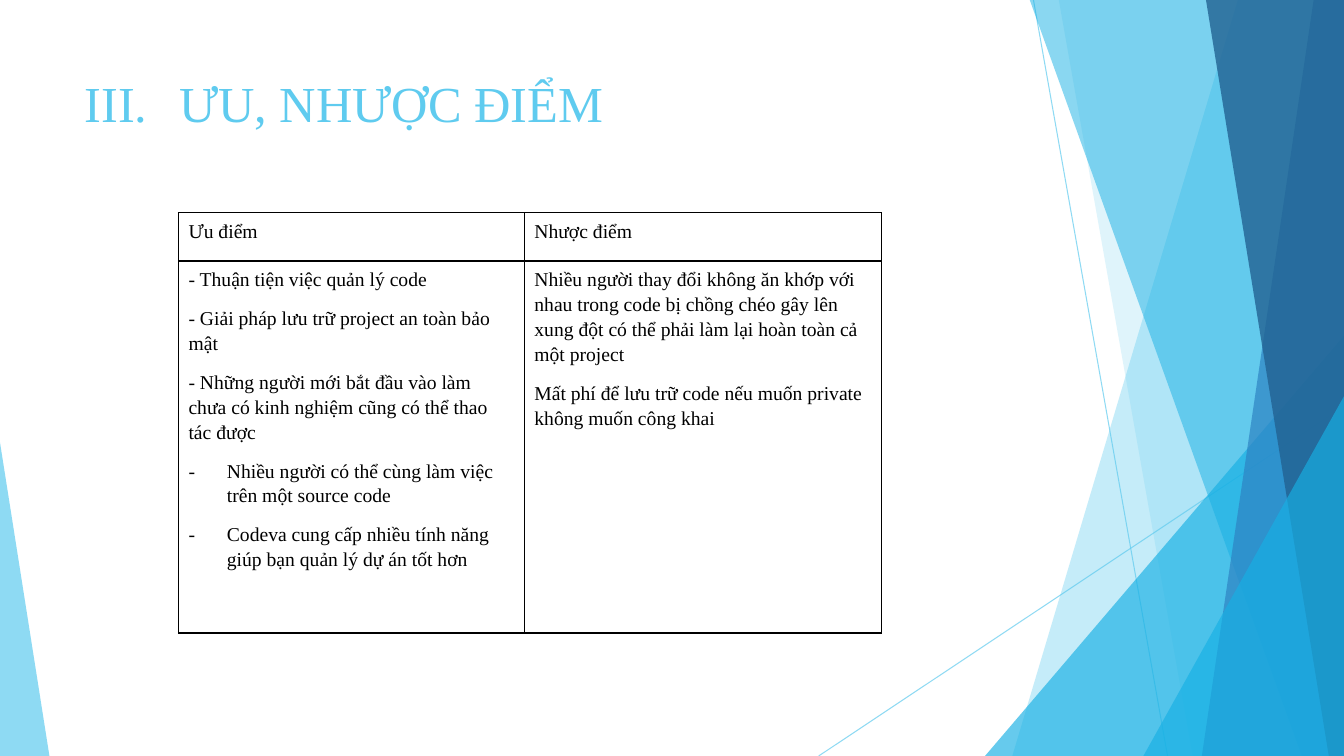
import pptx
import pptx.util
import pptx.dml.color
import pptx.enum.shapes
import pptx.oxml.ns
from lxml import etree

Inches = pptx.util.Inches
Pt = pptx.util.Pt
qn = pptx.oxml.ns.qn
WIDTH, HEIGHT, TOP = 13.33, 7.5, -0.01
FONT = "Times New Roman"
COLORS = {
    "sky": "5FCBEF",
    "cyan": "17B0E4",
    "blue": "2E83C3",
    "navy": "226292",
    "black": "000000",
}

RAYS = [
    ((10.25, 0), (11.58, HEIGHT)),
    ((WIDTH, 4.03), (8.12, HEIGHT)),
]
BACK_BANDS = [(12.28, 10.04, "sky", 36), (10.5, 11.83, "sky", 20)]
FRONT_BANDS = [
    (10.21, 12.91, "cyan", 50),
    (13.03, 11.92, "blue", 70),
    (11.96, 13.18, "navy", 80),
]

HEADINGS = ["Ưu điểm", "Nhược điểm"]
ADVANTAGES = [
    "- Thuận tiện việc quản lý code",
    "- Giải pháp lưu trữ project an toàn bảo mật",
    "- Những người mới bắt đầu vào làm chưa có kinh nghiệm cũng có thể thao tác được",
]
DASHED_ADVANTAGES = [
    "Nhiều người có thể cùng làm việc trên một source code",
    "Codeva cung cấp nhiều tính năng giúp bạn quản lý dự án tốt hơn",
]
DRAWBACKS = [
    "Nhiều người thay đổi không ăn khớp với nhau trong code bị chồng chéo gây lên "
    "xung đột có thể phải làm lại hoàn toàn cả một project",
    "Mất phí để lưu trữ code nếu muốn private không muốn công khai",
]


def rgb(color):
    return pptx.dml.color.RGBColor.from_string(COLORS[color])


def paint(fill, color, opacity):
    fill.solid()
    fill.fore_color.rgb = rgb(color)
    tint = fill._xPr.find(qn("a:solidFill"))[0]
    etree.SubElement(tint, qn("a:alpha"), val=str(opacity * 1000))


def finish(shape, color, opacity):
    shape.shadow.inherit = False
    shape.line.fill.background()
    paint(shape.fill, color, opacity)


def add_ray(slide, start, end):
    ray = slide.shapes.add_connector(
        pptx.enum.shapes.MSO_CONNECTOR.STRAIGHT,
        *(Inches(value) for value in start + end),
    )
    ray.line.width = Pt(0.75)
    paint(ray.line.fill, "sky", 70)
    etree.SubElement(ray._element.spPr, qn("a:effectLst"))


def add_band(slide, top_x, bottom_x, color, opacity):
    corners = [(WIDTH, TOP), (WIDTH, HEIGHT), (bottom_x, HEIGHT)]
    outline = slide.shapes.build_freeform(Inches(top_x), Inches(TOP))
    outline.add_line_segments([(Inches(x), Inches(y)) for x, y in corners])
    finish(outline.convert_to_shape(), color, opacity)


def add_wedge(slide, left, top, width, apex, color, opacity):
    wedge = slide.shapes.add_shape(
        pptx.enum.shapes.MSO_SHAPE.ISOSCELES_TRIANGLE,
        Inches(left), Inches(top), Inches(width), Inches(HEIGHT - top),
    )
    wedge.adjustments[0] = apex
    finish(wedge, color, opacity)


def write(frame, text, size=14, color="black", spacing=1.15, after=10,
          indent=0, bullet=None, **bullet_settings):
    paragraph = frame.paragraphs[0]
    if paragraph.runs:
        paragraph = frame.add_paragraph()
    paragraph.line_spacing = spacing
    paragraph.space_after = Pt(after)
    run = paragraph.add_run()
    run.text = text
    run.font.name = FONT
    run.font.size = Pt(size)
    run.font.color.rgb = rgb(color)
    if bullet:
        properties = paragraph._p.get_or_add_pPr()
        properties.set("marL", str(Inches(indent)))
        properties.set("indent", str(-Inches(indent)))
        etree.SubElement(properties, qn("a:buFont"), typeface=FONT)
        etree.SubElement(properties, qn(bullet), **bullet_settings)


def add_title(slide):
    title = slide.shapes.add_textbox(
        Inches(0.74), Inches(0.67), Inches(9.4), Inches(1.44))
    title.text_frame.word_wrap = True
    write(title.text_frame, "ƯU, NHƯỢC ĐIỂM", size=36, color="sky",
          spacing=1.0, after=0, indent=0.94, bullet="a:buAutoNum",
          type="romanUcPeriod", startAt="3")


def style_cell(cell):
    properties = cell._tc.get_or_add_tcPr()
    for side in ("L", "R", "T", "B"):
        border = etree.SubElement(
            properties, qn("a:ln" + side), w=str(Pt(1)))
        fill = etree.SubElement(border, qn("a:solidFill"))
        etree.SubElement(fill, qn("a:srgbClr"), val=COLORS["black"])
    cell.fill.background()


def add_comparison(slide):
    widths, heights = [3.43, 3.54], [0.48, 3.69]
    comparison = slide.shapes.add_table(
        2, 2, Inches(1.77), Inches(2.11),
        Inches(sum(widths)), Inches(sum(heights)),
    ).table
    comparison.first_row = False
    comparison.horz_banding = False
    for column, width in zip(comparison.columns, widths):
        column.width = Inches(width)
    for row, height in zip(comparison.rows, heights):
        row.height = Inches(height)
    for cell in comparison.iter_cells():
        style_cell(cell)
    for column, (heading, points) in enumerate(
            zip(HEADINGS, [ADVANTAGES, DRAWBACKS])):
        write(comparison.cell(0, column).text_frame, heading)
        for point in points:
            write(comparison.cell(1, column).text_frame, point)
    for point in DASHED_ADVANTAGES:
        write(comparison.cell(1, 0).text_frame, point,
              indent=0.38, bullet="a:buChar", char="-")


def main():
    presentation = pptx.Presentation()
    presentation.slide_width = Inches(WIDTH)
    presentation.slide_height = Inches(HEIGHT)
    slide = presentation.slides.add_slide(presentation.slide_layouts[6])
    for start, end in RAYS:
        add_ray(slide, start, end)
    for band in BACK_BANDS:
        add_band(slide, *band)
    add_wedge(slide, 9.77, 3.33, 3.56, 1, "cyan", 66)
    for band in FRONT_BANDS:
        add_band(slide, *band)
    add_wedge(slide, 11.34, 3.93, 1.99, 1, "cyan", 66)
    add_wedge(slide, 0, 4.39, 0.49, 0, "sky", 70)
    add_title(slide)
    add_comparison(slide)
    presentation.save("out.pptx")


main()
